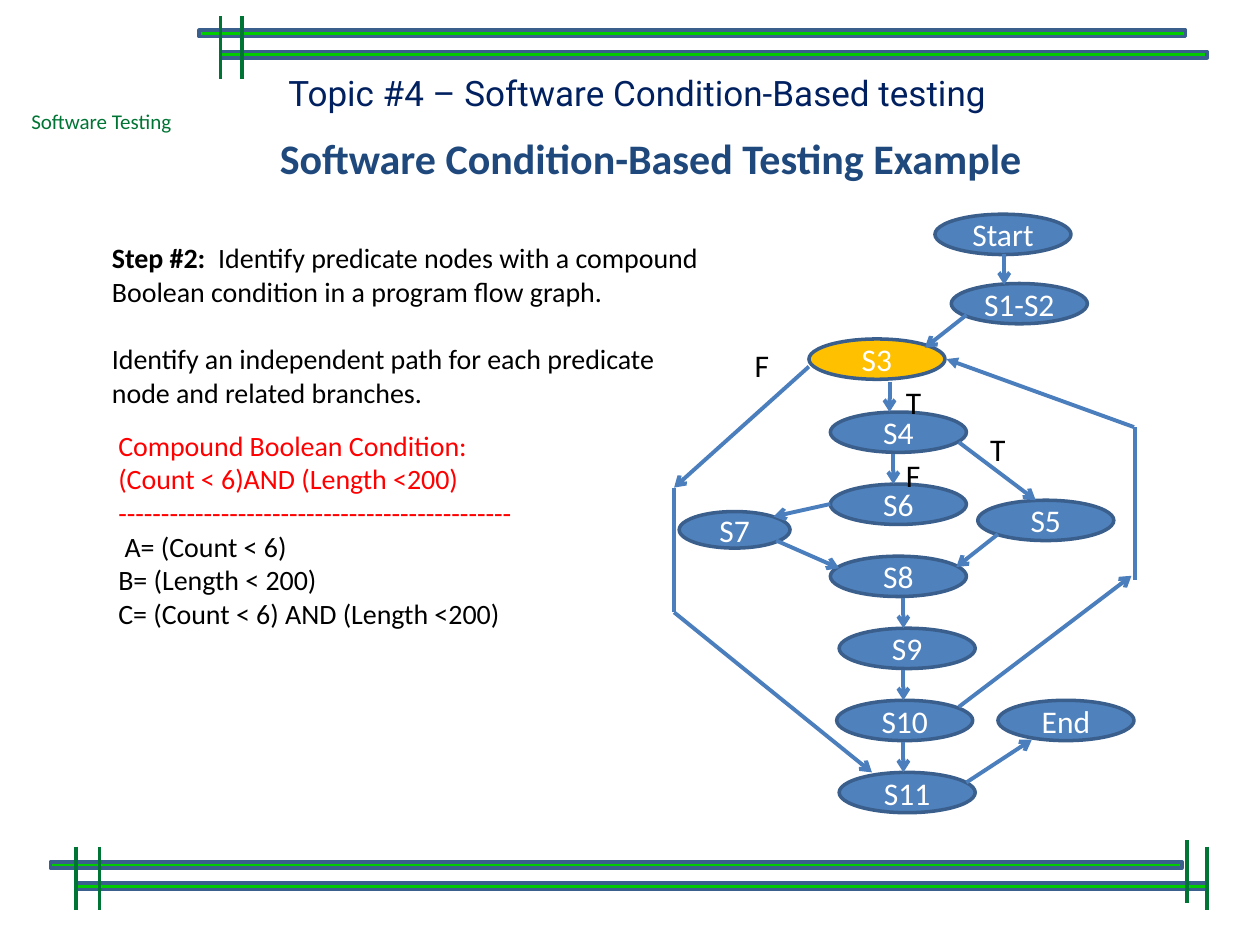
from typing import NamedTuple, Optional

from lxml.etree import SubElement
from pptx import Presentation
from pptx.dml.color import RGBColor
from pptx.enum.shapes import MSO_CONNECTOR, MSO_SHAPE
from pptx.enum.text import MSO_ANCHOR, PP_ALIGN
from pptx.oxml.ns import qn
from pptx.util import Inches, Pt

WHITE = RGBColor(0xFF, 0xFF, 0xFF)
BLACK = RGBColor(0, 0, 0)
RED = RGBColor(0xFF, 0, 0)
BAR_GREEN = RGBColor(0, 0xCC, 0)
DARK_GREEN = RGBColor(0, 0x74, 0x34)
NAVY = RGBColor(0, 0x20, 0x60)
HEADING_BLUE = RGBColor(0x1F, 0x49, 0x7D)
NODE_BLUE = RGBColor(0x4F, 0x81, 0xBD)
OUTLINE_BLUE = RGBColor(0x3A, 0x5F, 0x8C)
ARROW_BLUE = RGBColor(0x4B, 0x7E, 0xBC)
AMBER = RGBColor(0xFF, 0xC0, 0)

COLUMNS, ROWS = 100, 75
CHAIN_TOP, CHAIN_PITCH = 32.7, 5.72
ARROW_LENGTH = 2.4

deck = Presentation()
deck.slide_width, deck.slide_height = Inches(10), Inches(7.5)
page = deck.slides.add_slide(deck.slide_layouts[6])


class Area(NamedTuple):
    column: float
    row: float
    columns: float
    rows: float


class Node(NamedTuple):
    name: str
    column: float
    row: float
    columns: float = 10.8
    rows: float = 3.2
    fill: RGBColor = NODE_BLUE


class Edge(NamedTuple):
    start_column: float
    start_row: float
    end_column: float
    end_row: float
    head: Optional[str] = "arrow"


class Label(NamedTuple):
    text: str
    column: float
    row: float


def across(columns: float) -> int:
    return round(deck.slide_width * columns / COLUMNS)


def down(rows: float) -> int:
    return round(deck.slide_height * rows / ROWS)


def place(area: Area) -> tuple:
    return across(area.column), down(area.row), across(area.columns), down(area.rows)


def chain_row(step: int) -> float:
    return CHAIN_TOP + CHAIN_PITCH * step


def write(para, text: str, *, size=18, color=BLACK, font="Calibri", bold=False) -> None:
    span = para.add_run()
    span.text = text
    span.font.size = Pt(size)
    span.font.name = font
    span.font.bold = bold
    span.font.color.rgb = color


def add_box(area: Area, *, wrap=False, fill: Optional[RGBColor] = None):
    box = page.shapes.add_textbox(*place(area))
    box.text_frame.word_wrap = wrap
    if fill is not None:
        box.fill.solid()
        box.fill.fore_color.rgb = fill
    return box


def add_filled(kind, area: Area, fill: RGBColor):
    shape = page.shapes.add_shape(kind, *place(area))
    shape.shadow.inherit = False
    shape.fill.solid()
    shape.fill.fore_color.rgb = fill
    shape.line.color.rgb = OUTLINE_BLUE
    shape.line.width = Pt(2)
    return shape


def add_node(node: Node) -> None:
    area = Area(node.column, node.row, node.columns, node.rows)
    frame = add_filled(MSO_SHAPE.OVAL, area, node.fill).text_frame
    frame.word_wrap = False
    frame.vertical_anchor = MSO_ANCHOR.MIDDLE
    frame.paragraphs[0].alignment = PP_ALIGN.CENTER
    write(frame.paragraphs[0], node.name, color=WHITE)


def add_edge(edge: Edge, color: RGBColor = ARROW_BLUE) -> None:
    line = page.shapes.add_connector(
        MSO_CONNECTOR.STRAIGHT,
        across(edge.start_column), down(edge.start_row),
        across(edge.end_column), down(edge.end_row))
    line.line.color.rgb = color
    line.line.width = Pt(2.25)
    if edge.head:
        SubElement(line.line._get_or_add_ln(), qn("a:tailEnd"), type=edge.head)
    SubElement(line._element.spPr, qn("a:effectLst"))


def add_frame_lines() -> None:
    for column, row, columns in ((15.8, 2.4, 78.3), (17.5, 4.1, 78.3),
                                 (4, 68.4, 89.8), (6, 70.1, 89.8)):
        add_filled(MSO_SHAPE.FLOWCHART_PROCESS, Area(column, row, columns, 0.5), BAR_GREEN)
    for column, row in ((17.5, 1.3), (19.2, 1.3), (6, 67.2),
                        (7.9, 67.2), (95.8, 67.2), (94.2, 66.7)):
        add_edge(Edge(column, row, column, row + 5, None), DARK_GREEN)


def add_headings() -> None:
    course = add_box(Area(1.5, 8.1, 13.3, 3))
    write(course.text_frame.paragraphs[0], "Software Testing", size=12, color=DARK_GREEN)
    topic = add_box(Area(21.9, 5.2, 66.5, 4.4), fill=WHITE)
    write(topic.text_frame.paragraphs[0], "Topic #4 – Software Condition-Based testing",
          size=20, color=NAVY, font="Roboto")
    frame = add_box(Area(19.5, 10, 64.3, 5.5), wrap=True, fill=WHITE).text_frame
    frame.vertical_anchor = MSO_ANCHOR.MIDDLE
    frame.margin_left = frame.margin_right = across(1.6)
    frame.margin_top = frame.margin_bottom = down(1.6)
    para = frame.paragraphs[0]
    para.alignment = PP_ALIGN.CENTER
    para.line_spacing = 0.9
    write(para, "Software Condition-Based Testing Example", size=24, color=HEADING_BLUE, bold=True)


def add_explanation() -> None:
    frame = add_box(Area(7.9, 18.6, 49.6, 14.5), wrap=True).text_frame
    write(frame.paragraphs[0], "Step #2: ", size=16, bold=True)
    write(frame.paragraphs[0], " Identify predicate nodes with a compound "
          "Boolean condition in a program flow graph.", size=16)
    para = frame.add_paragraph()
    para.space_before = Pt(19.5)
    write(para, "Identify an independent path for each predicate "
          "node and related branches.", size=16)

    frame = add_box(Area(8.4, 33.5, 33.5, 17.2)).text_frame
    conditions = (
        ("Compound Boolean Condition:", RED),
        ("(Count < 6)AND (Length <200)", RED),
        ("-" * 46, RED),
        (" A= (Count < 6)", BLACK),
        ("B= (Length < 200)", BLACK),
        ("C= (Count < 6) AND (Length <200)", BLACK),
    )
    for index, (text, color) in enumerate(conditions):
        para = frame.add_paragraph() if index else frame.paragraphs[0]
        write(para, text, size=16, color=color)


def add_flow_graph() -> None:
    chain = (("S4", 65.9, 70.6), ("S6", 65.9, 70.9), ("S8", 65.9, None),
             ("S9", 66.6, 71.7), ("S10", 66.4, 71.7), ("S11", 66.6, 71.7))
    for step, (name, column, arrow_column) in enumerate(chain):
        row = chain_row(step)
        add_node(Node(name, column, row))
        if arrow_column:
            add_edge(Edge(arrow_column, row - ARROW_LENGTH, arrow_column, row))
    for node in (Node("Start", 74.2, 17), Node("S1-S2", 75.5, 22.5),
                 Node("S3", 64.2, 26.9, fill=AMBER), Node("S5", 77.6, 39.7),
                 Node("S7", 53.9, 40.6, 8.8, 2.9), Node("End", 79.2, chain_row(4))):
        add_node(node)
    for edge in (Edge(79.7, 20.2, 79.7, 22.6), Edge(76.7, 25, 73.4, 27.6),
                 Edge(76.1, 35.1, 82.2, 39.7), Edge(65.9, 40, 61.4, 41),
                 Edge(79.2, 42.4, 75.9, 45), Edge(61.6, 42.9, 66.6, 45.1),
                 Edge(76.1, 56.1, 89.8, 45.7), Edge(90.1, 46, 90.1, 33.9, None),
                 Edge(90, 33.9, 75.1, 28.5, "triangle"), Edge(64.2, 29.1, 53.5, 38.7),
                 Edge(53.5, 48.6, 53.5, 38.7, None), Edge(53.5, 48.6, 69.2, 61.3),
                 Edge(76.7, 62.1, 81.9, 58.7)):
        add_edge(edge)
    for label in (Label("T", 70.9, 29.9), Label("T", 77.6, 33.6),
                  Label("F", 70.9, 35.7), Label("F", 58.9, 27)):
        box = add_box(Area(label.column, label.row, 3.2, 3.1))
        write(box.text_frame.paragraphs[0], label.text)


add_frame_lines()
add_headings()
add_flow_graph()
add_explanation()
deck.save("out.pptx")
